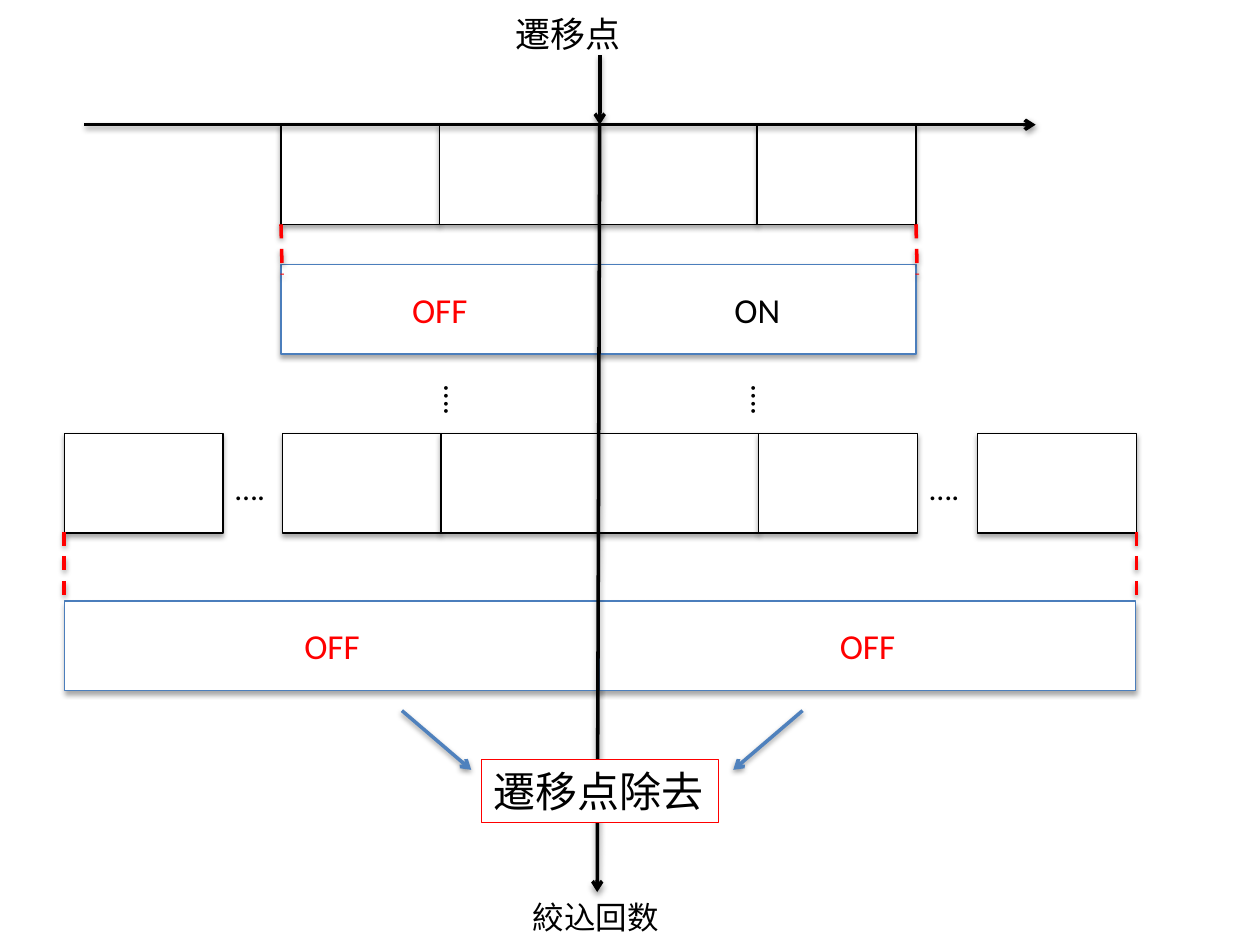
"""Build a slide showing how a transition point is removed as the window widens."""
from lxml.etree import SubElement as Sub
from pptx import Presentation
from pptx.dml.color import RGBColor as Rgb
from pptx.enum.dml import MSO_LINE_DASH_STYLE as Dash
from pptx.enum.shapes import MSO_CONNECTOR as Connector, MSO_SHAPE as Preset
from pptx.enum.text import MSO_ANCHOR as Anchor, MSO_AUTO_SIZE as AutoSize, PP_ALIGN as Align
from pptx.oxml.ns import qn
from pptx.util import Inches, Pt

COLORS = {"white": "FFFFFF", "black": "000000", "red": "FF0000", "edge": "4B7EBC", "blue": "4F81BD"}

deck = Presentation()
deck.slide_width, deck.slide_height = Inches(10), Inches(7.5)
page = deck.slides.add_slide(deck.slide_layouts[6])
column, row = deck.slide_width / 100, deck.slide_height / 75
cell_width, cell_height, bar_height = 12.6, 7.9, 7.1


def add_box(text, left, top, width, height, *, size=20, color="black", edge=None,
            label=False, wrap=False, turn=0):
    place = [round(value) for value in (left * column, top * row, width * column, height * row)]
    if label:
        box = page.shapes.add_textbox(*place)
    else:
        box = page.shapes.add_shape(Preset.RECTANGLE, *place)
    box.rotation = turn
    if edge:
        box.fill.solid()
        box.fill.fore_color.rgb = Rgb.from_string(COLORS["white"])
        box.line.color.rgb = Rgb.from_string(COLORS[edge])
        box.line.width = Pt(0.75)
    frame = box.text_frame
    frame.word_wrap = wrap or not label
    frame.auto_size = AutoSize.SHAPE_TO_FIT_TEXT if label else AutoSize.NONE
    frame.vertical_anchor = Anchor.TOP if label else Anchor.MIDDLE
    para = frame.paragraphs[0]
    para.alignment = Align.LEFT if label else Align.CENTER
    if text:
        span = para.add_run()
        span.text = text
        span.font.name, span.font.size = "Calibri", Pt(size)
        span.font.color.rgb = Rgb.from_string(COLORS[color])
    return box


def add_line(start, end, color="black", dashed=False):
    line = page.shapes.add_connector(
        Connector.STRAIGHT, round(start[0] * column), round(start[1] * row),
        round(end[0] * column), round(end[1] * row))
    line.line.color.rgb = Rgb.from_string(COLORS[color])
    line.line.width = Pt(2)
    if dashed:
        line.line.dash_style = Dash.DASH
    else:
        Sub(line.line._get_or_add_ln(), qn("a:tailEnd"), type="arrow")
    return line


boxes, lines = [], []

for top, lefts in (
    (9.9, [22.3 + cell_width * index for index in range(4)]),
    (34.4, [5.1, *(22.4 + cell_width * index for index in range(4)), 77.6]),
):
    for left in lefts:
        boxes.append(add_box("", left, top, cell_width, cell_height, edge="black"))

for text, left, top, width, color in (
    ("OFF", 22.3, 21, 25.2, "red"),
    ("ON", 47.5, 21, 25.2, "black"),
    ("OFF", 5.1, 47.7, 42.5, "red"),
    ("OFF", 47.6, 47.7, 42.5, "red"),
):
    boxes.append(add_box(text, left, top, width, bar_height, color=color, edge="edge"))

add_box("遷移点", 39.9, 0.5, 10.4, 4.4, label=True)
add_box("絞込回数", 41.3, 70.8, 12.1, 4, size=18, label=True)
for left in (17.7, 72.8):
    add_box("….", left, 36.7, 4.4, 4, size=18, label=True)
for left in (33.5, 57.9):
    add_box("….", left, 30.4, 5.5, 4, size=18, label=True, wrap=True, turn=90)

for start, end in (
    ((22.3, 17.8), (22.4, 21.8)),
    ((72.7, 17.8), (72.8, 21.8)),
    ((5.1, 42.2), (5.1, 47.7)),
    ((90.2, 42.2), (90.2, 47.7)),
):
    lines.append(add_line(start, end, "red", dashed=True))

for start, end, color in (
    ((6.7, 9.9), (82.2, 9.9), "black"),
    ((47.6, 4.4), (47.6, 9.9), "black"),
    ((47.6, 9.9), (47.4, 70.8), "black"),
    ((31.9, 56.4), (37.4, 61.1), "blue"),
    ((63.7, 56.4), (58.2, 61.1), "blue"),
):
    lines.append(add_line(start, end, color))

add_box("遷移点除去", 38.2, 60.3, 18.8, 5, size=24, edge="red", label=True)

for group, distance, opacity in ((boxes, 1.8, 35), (lines, 1.6, 38)):
    for shape in group:
        effects = Sub(shape._element.spPr, qn("a:effectLst"))
        shadow = Sub(effects, qn("a:outerShdw"), blurRad=str(Pt(3.1)), dist=str(Pt(distance)),
                     dir="5400000", rotWithShape="0")
        tint = Sub(shadow, qn("a:srgbClr"), val=COLORS["black"])
        Sub(tint, qn("a:alpha"), val=str(opacity * 1000))

deck.save("out.pptx")
